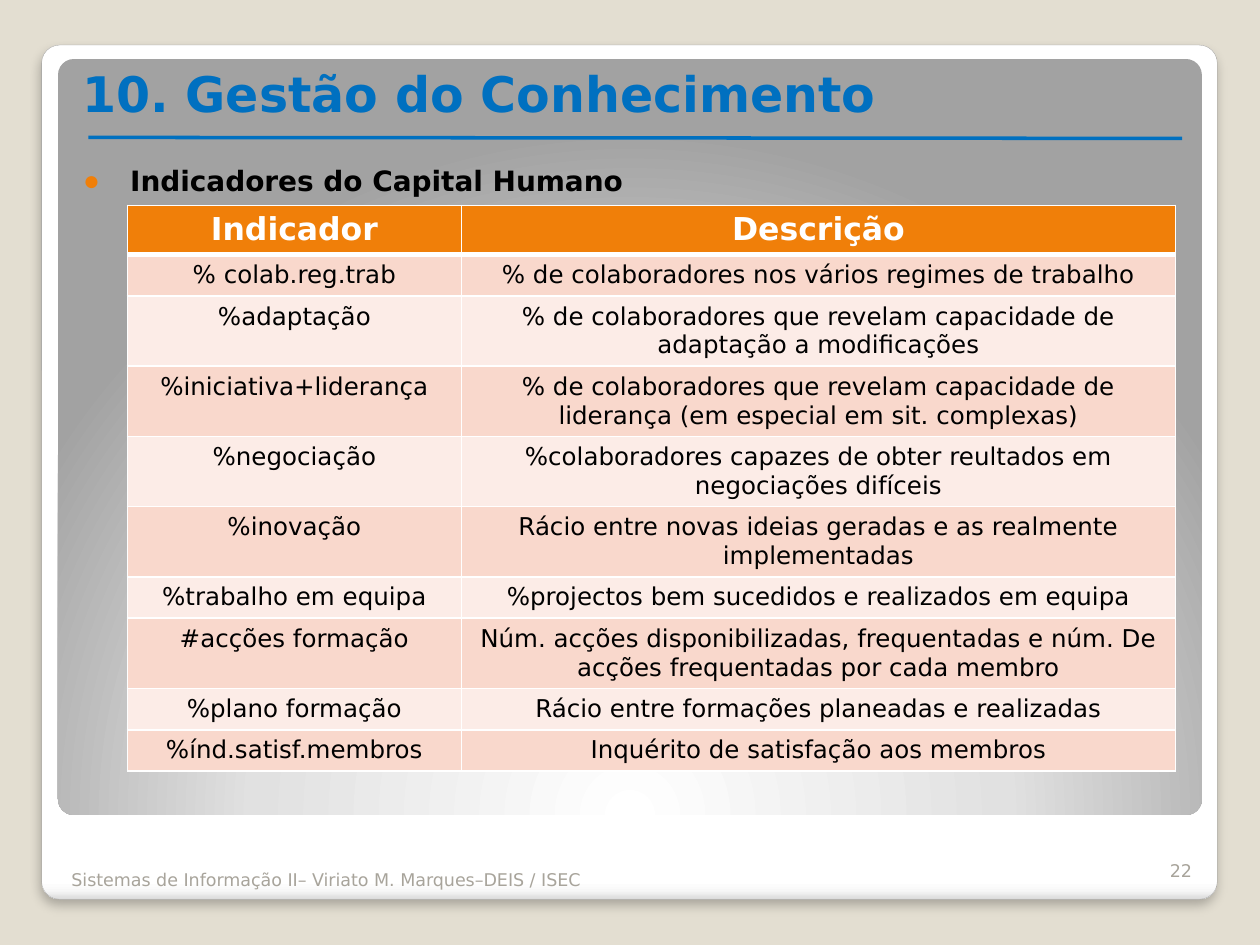
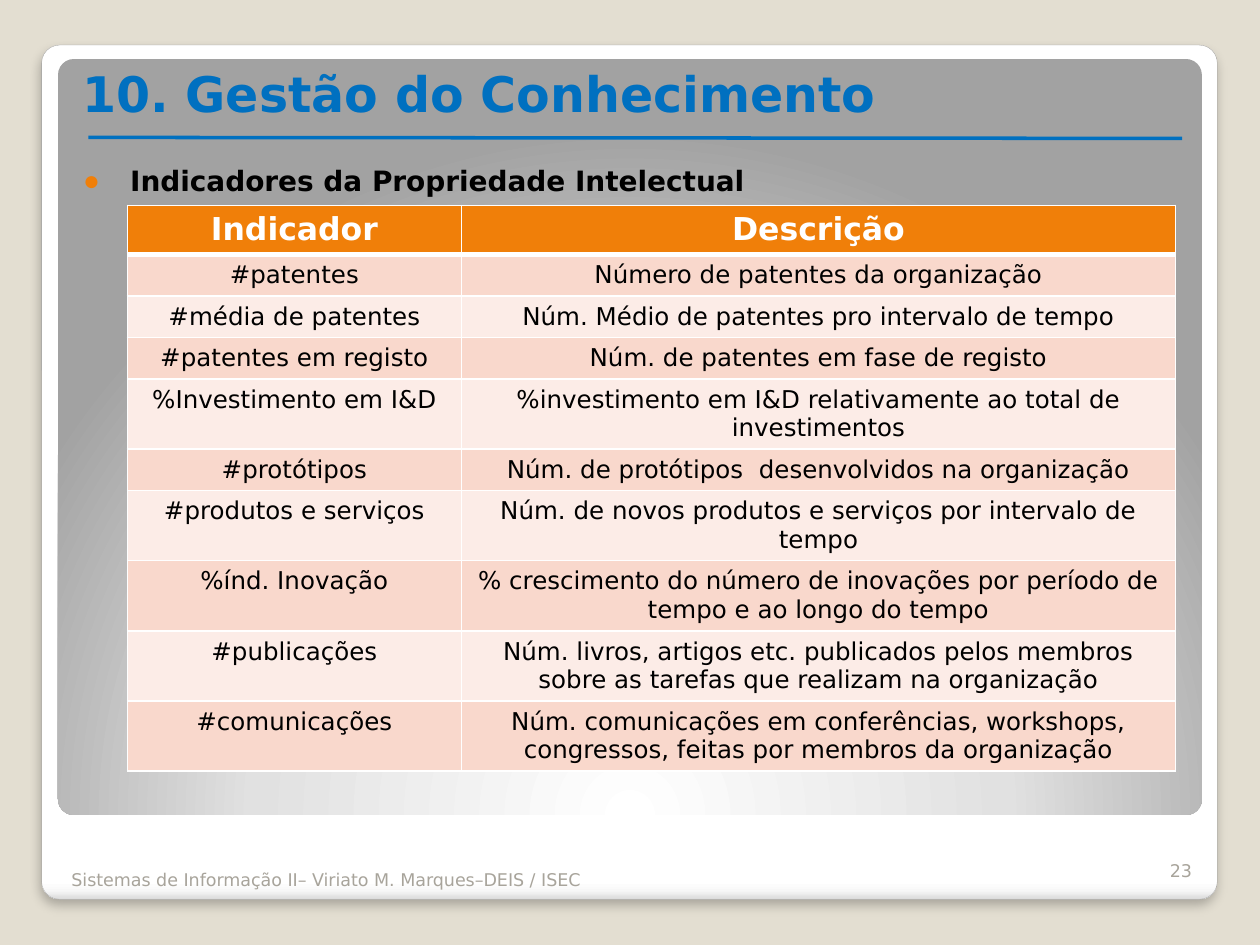
"""Build two slides with indicator tables for knowledge management."""
import dataclasses

import pptx
import pptx.dml.color
import pptx.enum.shapes
import pptx.enum.text
import pptx.oxml
import pptx.oxml.ns
import pptx.util

Cm = pptx.util.Cm
Pt = pptx.util.Pt
Align = pptx.enum.text.PP_ALIGN
Anchor = pptx.enum.text.MSO_ANCHOR


@dataclasses.dataclass(frozen=True)
class Theme:
    font: str = "DejaVu Sans"
    background: str = "E3DED1"
    frame_line: str = "A4A4A4"
    shadow: str = "000000"
    blue: str = "0070C0"
    orange: str = "F07F09"
    text: str = "000000"
    white: str = "FFFFFF"
    footer: str = "A8A49B"
    bands: tuple = ("F9D8CC", "FCECE7")
    frame_stops: tuple = ((0, "FFFFFF"), (98, "FFFFFF"), (99, "F7F7F7"), (100, "DADADA"))
    panel_stops: tuple = ((0, "FFFFFF"), (55, "E1E1E1"), (100, "A2A2A2"))
    title_size: int = 28
    header_size: int = 18
    topic_size: int = 16
    cell_size: int = 14
    footer_size: int = 10


TITLE = "10. Gestão do Conhecimento"
FOOTER = "Sistemas de Informação II– Viriato M. Marques–DEIS / ISEC"
FIRST_NUMBER = 22
HEADER = ("Indicador", "Descrição")
TOPICS = {
    "Indicadores do Capital Humano": [
        ("% colab.reg.trab", "% de colaboradores nos vários regimes de trabalho"),
        ("%adaptação", "% de colaboradores que revelam capacidade de adaptação a modificações"),
        ("%iniciativa+liderança",
         "% de colaboradores que revelam capacidade de liderança (em especial em sit. complexas)"),
        ("%negociação", "%colaboradores capazes de obter reultados em negociações difíceis"),
        ("%inovação", "Rácio entre novas ideias geradas e as realmente implementadas"),
        ("%trabalho em equipa", "%projectos bem sucedidos e realizados em equipa"),
        ("#acções formação",
         "Núm. acções disponibilizadas, frequentadas e núm. De acções frequentadas por cada membro"),
        ("%plano formação", "Rácio entre formações planeadas e realizadas"),
        ("%índ.satisf.membros", "Inquérito de satisfação aos membros"),
    ],
    "Indicadores da Propriedade Intelectual": [
        ("#patentes", "Número de patentes da organização"),
        ("#média de patentes", "Núm. Médio de patentes pro intervalo de tempo"),
        ("#patentes em registo", "Núm. de patentes em fase de registo"),
        ("%Investimento em I&D", "%investimento em I&D relativamente ao total de investimentos"),
        ("#protótipos", "Núm. de protótipos  desenvolvidos na organização"),
        ("#produtos e serviços", "Núm. de novos produtos e serviços por intervalo de tempo"),
        ("%índ. Inovação",
         "% crescimento do número de inovações por período de tempo e ao longo do tempo"),
        ("#publicações",
         "Núm. livros, artigos etc. publicados pelos membros sobre as tarefas que realizam na organização"),
        ("#comunicações",
         "Núm. comunicações em conferências, workshops, congressos, feitas por membros da organização"),
    ],
}


def rgb(color):
    return pptx.dml.color.RGBColor.from_string(color)


def xml(tag, content="", attributes=""):
    namespace = pptx.oxml.ns.nsdecls("a")
    return pptx.oxml.parse_xml(f"<a:{tag} {namespace} {attributes}>{content}</a:{tag}>")


def solid(color):
    return f'<a:solidFill><a:srgbClr val="{color}"/></a:solidFill>'


class Deck:
    def __init__(self, theme):
        self.theme = theme
        self.presentation = pptx.Presentation()
        self.presentation.slide_width = Cm(25.4)
        self.presentation.slide_height = Cm(19.05)
        self.slide = None

    def add_slide(self):
        self.slide = self.presentation.slides.add_slide(self.presentation.slide_layouts[1])

    def add_backdrop(self):
        master = self.presentation.slide_master
        master.background.fill.solid()
        master.background.fill.fore_color.rgb = rgb(self.theme.background)
        frame = self.add_panel((0.84, 0.91, 23.7, 17.22), self.theme.frame_stops,
                               '<a:lin ang="5400000" scaled="0"/>')
        frame.line.color.rgb = rgb(self.theme.frame_line)
        frame.line.width = Pt(0.16)
        effects = frame.element.find(".//" + pptx.oxml.ns.qn("a:effectLst"))
        effects.append(xml(
            "outerShdw",
            f'<a:srgbClr val="{self.theme.shadow}"><a:alpha val="25000"/></a:srgbClr>',
            f'blurRad="{Pt(6)}" dist="{Pt(4)}" dir="5400000" algn="t" rotWithShape="0"'))
        panel = self.add_panel(
            (1.17, 1.19, 23.06, 15.24), self.theme.panel_stops,
            '<a:path path="circle"><a:fillToRect l="50000" t="175000" r="50000" b="-75000"/></a:path>')
        panel.line.fill.background()
        for position, shape in enumerate((frame, panel), 2):
            master.shapes.element.insert(position, shape.element)

    def add_panel(self, box, stops, direction):
        shape = self.slide.shapes.add_shape(
            pptx.enum.shapes.MSO_SHAPE.ROUNDED_RECTANGLE, *map(Cm, box))
        shape.adjustments[0] = 0.021
        shape.shadow.inherit = False
        shape.fill.gradient()
        gradient = shape.element.find(".//" + pptx.oxml.ns.qn("a:gradFill"))
        colors = "".join(f'<a:gs pos="{place * 1000}"><a:srgbClr val="{color}"/></a:gs>'
                         for place, color in stops)
        gradient.getparent().replace(gradient, xml(
            "gradFill", f"<a:gsLst>{colors}</a:gsLst>{direction}", 'rotWithShape="1"'))
        return shape

    def set_text(self, text_frame, text, size, color, bold=False, align=Align.LEFT):
        text_frame.text = text
        paragraph = text_frame.paragraphs[0]
        paragraph.alignment = align
        font = paragraph.runs[0].font
        font.name = self.theme.font
        font.size = Pt(size)
        font.bold = bold
        font.color.rgb = rgb(color)
        return paragraph

    def place(self, shape, box, anchor):
        shape.left, shape.top, shape.width, shape.height = map(Cm, box)
        text_frame = shape.text_frame
        text_frame.word_wrap = True
        text_frame.auto_size = pptx.enum.text.MSO_AUTO_SIZE.NONE
        text_frame.vertical_anchor = anchor
        return text_frame

    def add_title(self, text):
        text_frame = self.place(self.slide.shapes.title, (1.4, 1.19, 22.17, 1.4), Anchor.BOTTOM)
        self.set_text(text_frame, text, self.theme.title_size, self.theme.blue, bold=True)

    def add_rule(self):
        rule = self.slide.shapes.add_connector(
            pptx.enum.shapes.MSO_CONNECTOR.STRAIGHT, Cm(1.78), Cm(2.77), Cm(23.83), Cm(2.79))
        rule.line.color.rgb = rgb(self.theme.blue)
        rule.line.width = Pt(2)
        rule.element.spPr.append(xml("effectLst"))

    def add_topic(self, text):
        text_frame = self.place(self.slide.placeholders[1], (1.42, 2.97, 22.43, 1.14), Anchor.TOP)
        paragraph = self.set_text(text_frame, text, self.theme.topic_size, self.theme.text,
                                  bold=True, align=Align.JUSTIFY)
        paragraph.line_spacing = 1.3
        paragraph.space_before = Pt(4)
        properties = paragraph._p.get_or_add_pPr()
        properties.set("marL", str(Cm(0.95)))
        properties.set("indent", str(Cm(-0.95)))
        properties.append(xml("buClr", f'<a:srgbClr val="{self.theme.orange}"/>'))
        properties.append(xml("buChar", attributes='char="●"'))

    def add_table(self, rows):
        column_widths, header_height, row_height = (6.73, 14.4), 0.97, 0.81
        height = header_height + row_height * (len(rows) - 1)
        table = self.slide.shapes.add_table(
            len(rows), len(column_widths), Cm(2.57), Cm(4.14),
            Cm(sum(column_widths)), Cm(height)).table
        for column, width in zip(table.columns, column_widths):
            column.width = Cm(width)
        for index, texts in enumerate(rows):
            table.rows[index].height = Cm(row_height if index else header_height)
            for column, text in enumerate(texts):
                self.fill_cell(table.cell(index, column), text, index)

    def fill_cell(self, cell, text, row):
        theme = self.theme
        widths = {"lnL": 1, "lnR": 1, "lnT": 3 if row == 1 else 1, "lnB": 1 if row else 3}
        properties = cell._tc.get_or_add_tcPr()
        for side, width in widths.items():
            properties.append(xml(side, solid(theme.white), f'w="{Pt(width)}"'))
        cell.fill.solid()
        cell.fill.fore_color.rgb = rgb(theme.bands[(row - 1) % 2] if row else theme.orange)
        size, color = (theme.cell_size, theme.text) if row else (theme.header_size, theme.white)
        self.set_text(cell.text_frame, text, size, color, bold=row == 0, align=Align.CENTER)

    def add_note(self, text, box, align):
        shape = self.slide.shapes.add_textbox(*map(Cm, box))
        text_frame = self.place(shape, box, Anchor.BOTTOM)
        self.set_text(text_frame, text, self.theme.footer_size, self.theme.footer, align=align)


def main():
    deck = Deck(Theme())
    for number, (topic, indicators) in enumerate(TOPICS.items(), FIRST_NUMBER):
        deck.add_slide()
        if number == FIRST_NUMBER:
            deck.add_backdrop()
        deck.add_title(TITLE)
        deck.add_rule()
        deck.add_topic(topic)
        deck.add_table([HEADER, *indicators])
        deck.add_note(FOOTER, (1.19, 17.04, 11.91, 1.02), Align.LEFT)
        deck.add_note(str(number), (23.01, 16.87, 1.27, 1.02), Align.RIGHT)
    deck.presentation.save("out.pptx")


if __name__ == "__main__":
    main()
